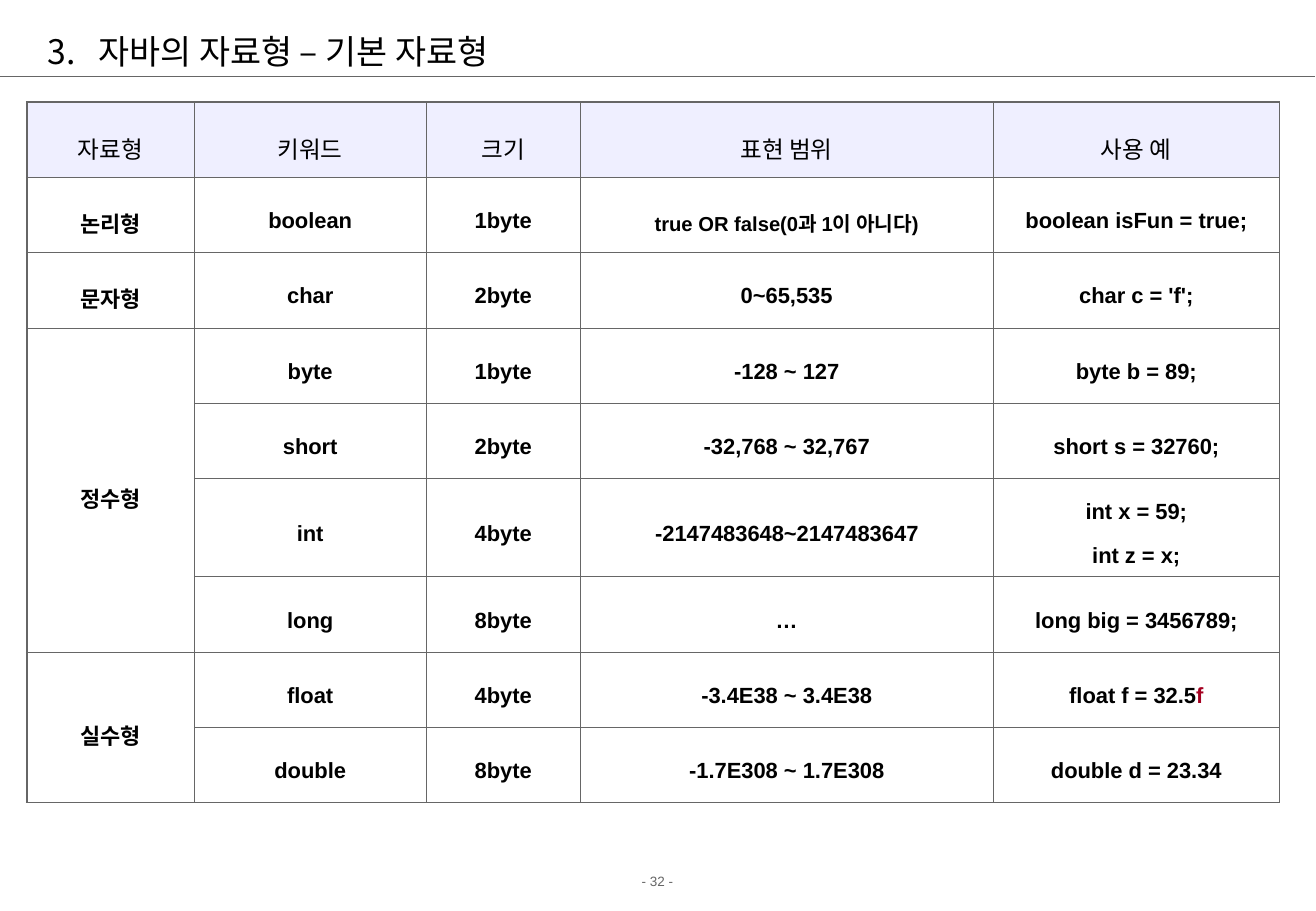
"""Build the slide that lists the primitive data types of Java."""
import lxml.etree
import pptx
import pptx.dml.color
import pptx.enum.shapes
import pptx.enum.text
import pptx.oxml.ns
import pptx.util

EMU_PER_PX = 9144
GRAY = "666666"
BLACK = "000000"
RED = "A50021"
LAVENDER = "EFEFFF"
LATIN = "Arial"
KOREAN = "Noto Sans CJK KR"

HEADERS = ["자료형", "키워드", "크기", "표현 범위", "사용 예"]
BOOLEAN_RANGE = "true OR false(0과 1이 아니다)"
TYPE_GROUPS = [
    ("논리형", [("boolean", "1byte", BOOLEAN_RANGE, "boolean isFun = true;")]),
    ("문자형", [("char", "2byte", "0~65,535", "char c = 'f';")]),
    ("정수형", [
        ("byte", "1byte", "-128 ~ 127", "byte b = 89;"),
        ("short", "2byte", "-32,768 ~ 32,767", "short s = 32760;"),
        ("int", "4byte", "-2147483648~2147483647", "int x = 59;\nint z = x;"),
        ("long", "8byte", "…", "long big = 3456789;"),
    ]),
    ("실수형", [
        ("float", "4byte", "-3.4E38 ~ 3.4E38", "float f = 32.5"),
        ("double", "8byte", "-1.7E308 ~ 1.7E308", "double d = 23.34"),
    ]),
]
COLUMN_WIDTHS = [138, 191, 127, 340, 236]
ROW_HEIGHT = 62
TWO_LINE_ROW_HEIGHT = 81


def px(length):
    """Turn a length in px into EMU."""
    return pptx.util.Emu(length * EMU_PER_PX)


def color(value):
    """Turn a hex string into a colour."""
    return pptx.dml.color.RGBColor.from_string(value)


def add_element(parent, tag, **attributes):
    """Append a DrawingML element to a parent."""
    return lxml.etree.SubElement(parent, pptx.oxml.ns.qn(tag), attributes)


def style_run(run, size, font_name, font_color, bold=False):
    """Set the font of a run for Latin and Korean letters."""
    run.font.size = pptx.util.Pt(size)
    run.font.bold = bold
    run.font.color.rgb = color(font_color)
    run.font.name = font_name
    add_element(run.font._element, "a:ea", typeface=KOREAN)


def add_title(slide, text, number):
    """Place the numbered title."""
    title = slide.shapes.title
    title.left, title.top, title.width, title.height = px(29), px(21), px(1017), px(42)
    frame = title.text_frame
    frame.text = text
    frame.auto_size = pptx.enum.text.MSO_AUTO_SIZE.NONE
    frame.vertical_anchor = pptx.enum.text.MSO_ANCHOR.MIDDLE
    paragraph = frame.paragraphs[0]
    paragraph.alignment = pptx.enum.text.PP_ALIGN.LEFT
    properties = paragraph._p.get_or_add_pPr()
    properties.set("marL", str(px(42)))
    properties.set("indent", str(px(-42)))
    bullet_color = add_element(properties, "a:buClr")
    add_element(bullet_color, "a:srgbClr", val=BLACK)
    add_element(properties, "a:buAutoNum", type="arabicPeriod", startAt=str(number))
    style_run(paragraph.runs[0], 20, KOREAN, BLACK)


def add_rule(slide, top, width):
    """Draw the line under the title."""
    rule = slide.shapes.add_connector(
        pptx.enum.shapes.MSO_CONNECTOR.STRAIGHT, px(0), px(top), px(width), px(top))
    rule.line.color.rgb = color(GRAY)
    rule.line.width = pptx.util.Pt(0.75)
    add_element(rule._element.spPr, "a:effectLst")


def add_page_number(slide, text):
    """Write the page number at the foot of the slide."""
    box = slide.shapes.add_textbox(px(0), px(714), px(1083), px(24))
    box.text_frame.word_wrap = True
    box.text_frame.text = text
    paragraph = box.text_frame.paragraphs[0]
    paragraph.alignment = pptx.enum.text.PP_ALIGN.CENTER
    style_run(paragraph.runs[0], 8, LATIN, GRAY)


def write_cell(cell, text, size, font_name, bold):
    """Fill a cell with centred text."""
    cell.vertical_anchor = pptx.enum.text.MSO_ANCHOR.MIDDLE
    cell.text_frame.text = text
    for index, paragraph in enumerate(cell.text_frame.paragraphs):
        paragraph.alignment = pptx.enum.text.PP_ALIGN.CENTER
        paragraph.line_spacing = 1.5
        if index:
            paragraph.space_before = pptx.util.Pt(4)
        for run in paragraph.runs:
            style_run(run, size, font_name, BLACK, bold)


def set_borders(cell, outer_sides):
    """Draw the four borders of a cell, heavier on the outer sides."""
    properties = cell._tc.get_or_add_tcPr()
    for position, side in enumerate("LRTB"):
        width = pptx.util.Pt(1.08 if side in outer_sides else 0.45)
        border = add_element(properties, f"a:ln{side}", w=str(width))
        fill = add_element(border, "a:solidFill")
        add_element(fill, "a:srgbClr", val=GRAY)
        properties.insert(position, border)


def format_grid(table):
    """Set the fill and borders of every cell."""
    last_row, last_column = len(table.rows) - 1, len(table.columns) - 1
    for row in range(last_row + 1):
        for column in range(last_column + 1):
            cell = table.cell(row, column)
            if row == 0:
                cell.fill.solid()
                cell.fill.fore_color.rgb = color(LAVENDER)
            else:
                cell.fill.background()
            if cell.is_spanned:
                continue
            bottom_row = row + cell.span_height - 1 if cell.is_merge_origin else row
            edges = {"L": column == 0, "R": column == last_column,
                     "T": row == 0, "B": bottom_row == last_row}
            set_borders(cell, [side for side, outer in edges.items() if outer])


def add_type_table(slide):
    """Build the table of data types, one merged cell per group."""
    row_count = 1 + sum(len(types) for group, types in TYPE_GROUPS)
    table = slide.shapes.add_table(
        row_count, len(HEADERS), px(22), px(84),
        px(sum(COLUMN_WIDTHS)), px(ROW_HEIGHT * row_count)).table
    table.first_row = table.horz_banding = False
    for column, width in zip(table.columns, COLUMN_WIDTHS):
        column.width = px(width)
    for column, header in enumerate(HEADERS):
        write_cell(table.cell(0, column), header, 14, KOREAN, False)
    table.rows[0].height = px(ROW_HEIGHT)
    row = 1
    for group, types in TYPE_GROUPS:
        group_cell = table.cell(row, 0)
        if len(types) > 1:
            group_cell.merge(table.cell(row + len(types) - 1, 0))
        write_cell(group_cell, group, 13, LATIN, True)
        for values in types:
            has_two_lines = "\n" in values[-1]
            table.rows[row].height = px(TWO_LINE_ROW_HEIGHT if has_two_lines else ROW_HEIGHT)
            for column, value in enumerate(values, start=1):
                size = 12 if value == BOOLEAN_RANGE else 13
                write_cell(table.cell(row, column), value, size, LATIN, True)
            if values[0] == "float":
                suffix = table.cell(row, 4).text_frame.paragraphs[0].add_run()
                suffix.text = "f"
                style_run(suffix, 13, LATIN, RED, True)
            row += 1
    format_grid(table)


def main():
    """Build and save the presentation."""
    presentation = pptx.Presentation()
    presentation.slide_width, presentation.slide_height = px(1084), px(750)
    slide = presentation.slides.add_slide(presentation.slide_layouts[5])
    add_page_number(slide, "- 32 -")
    add_rule(slide, 63, 1083)
    add_title(slide, "자바의 자료형 – 기본 자료형", 3)
    add_type_table(slide)
    presentation.save("out.pptx")


if __name__ == "__main__":
    main()
